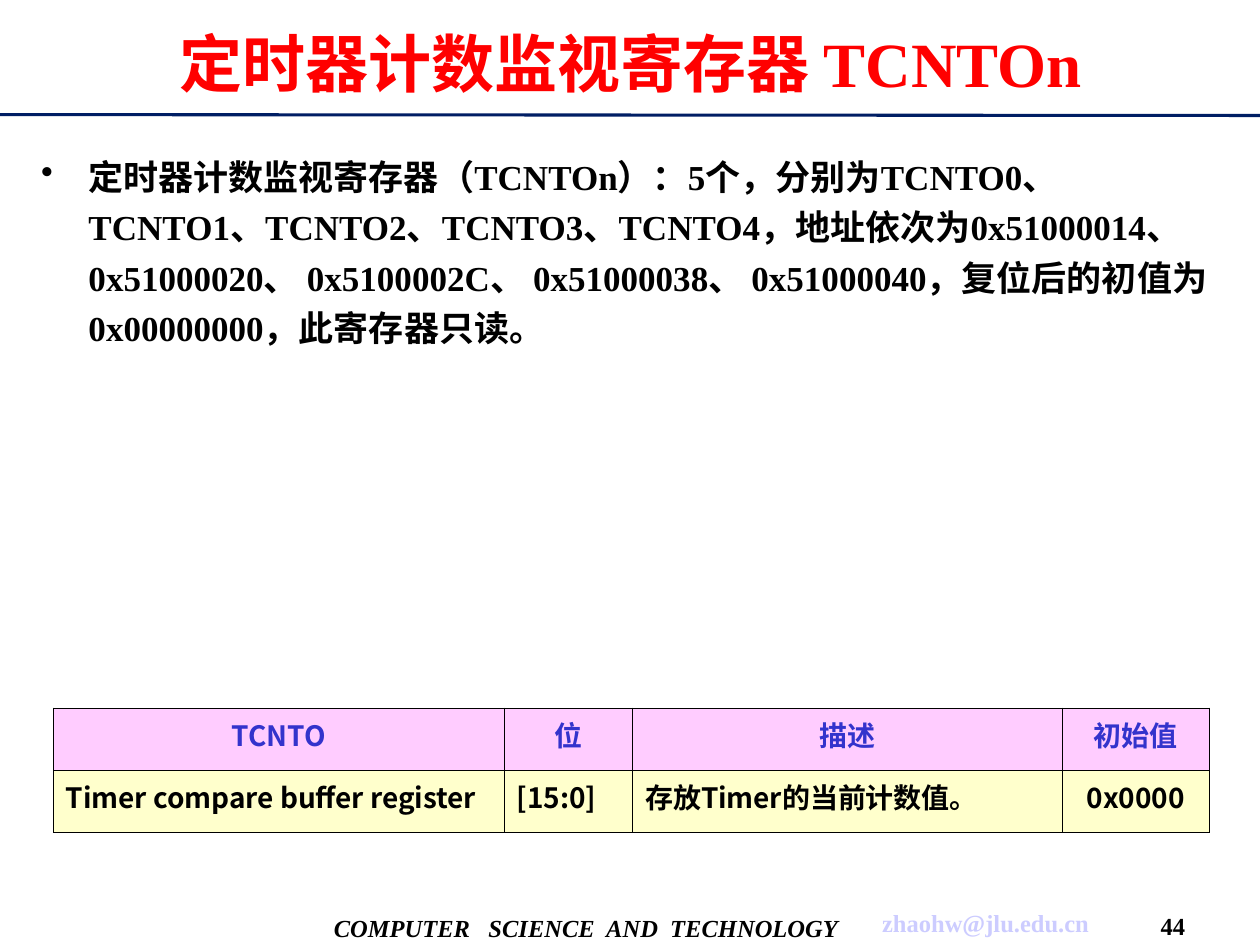
from dataclasses import dataclass

from lxml import etree
from pptx import Presentation
from pptx.dml.color import RGBColor
from pptx.enum.shapes import MSO_CONNECTOR as Conn
from pptx.enum.text import MSO_ANCHOR as Anchor, PP_ALIGN as Align
from pptx.oxml.ns import qn
from pptx.util import Pt

BLACK = RGBColor(0x00, 0x00, 0x00)
RED = RGBColor(0xFF, 0x00, 0x00)
NAVY = RGBColor(0x00, 0x1E, 0x64)
BLUE = RGBColor(0x33, 0x33, 0xCC)
LAVENDER = RGBColor(0xCC, 0xCC, 0xFF)
PINK = RGBColor(0xFF, 0xCC, 0xFF)
CREAM = RGBColor(0xFF, 0xFF, 0xCC)
SERIF = "Times New Roman"
SANS = "Noto Sans CJK SC"


@dataclass
class TextBox:
    text: str
    left: float
    top: float
    width: float
    height: float
    size: float
    color: RGBColor = BLACK
    italic: bool = False
    side_inset: float = 7.2
    align: Align = Align.CENTER
    anchor: Anchor = Anchor.MIDDLE


@dataclass
class TableRow:
    texts: list[str]
    aligns: list[Align]
    fill: RGBColor
    color: RGBColor


TITLE = TextBox("定时器计数监视寄存器 TCNTOn", 23, 6, 674.5, 59.5, 36, RED)
BODY = TextBox(
    "定时器计数监视寄存器（TCNTOn）：5个，分别为TCNTO0、TCNTO1、TCNTO2、TCNTO3、TCNTO4，"
    "地址依次为0x51000014、 0x51000020、 0x5100002C、 0x51000038、 0x51000040，"
    "复位后的初值为0x00000000，此寄存器只读。",
    16.5, 80.5, 684, 433.5, 20, align=Align.LEFT, anchor=Anchor.TOP)
FOOTERS = [
    TextBox("COMPUTER   SCIENCE  AND  TECHNOLOGY", 185, 515, 300, 30, 14, italic=True, side_inset=0),
    TextBox("zhaohw@jlu.edu.cn", 498, 514, 130.5, 26, 14, LAVENDER, side_inset=0),
    TextBox("44", 654.5, 518, 31.5, 22, 14, side_inset=0),
]
COLUMNS = [257.5, 73.5, 245.5, 84]
ROW_HEIGHT = 35.5
ROWS = [
    TableRow(["TCNTO", "位", "描述", "初始值"], [Align.CENTER] * 4, PINK, BLUE),
    TableRow(["Timer compare buffer register", "[15:0]", "存放Timer的当前计数值。", "0x0000"],
             [Align.LEFT] * 3 + [Align.CENTER], CREAM, BLACK),
]


def add_run(p, text: str, font: str, size: float, color: RGBColor, italic: bool = False) -> None:
    r = p.add_run()
    r.text = text
    for name, value in {"name": font, "size": Pt(size), "bold": True, "italic": italic}.items():
        setattr(r.font, name, value)
    r.font.color.rgb = color
    etree.SubElement(r.font._element, qn("a:ea"), typeface=SANS)


def add_text(s, box: TextBox):
    sp = s.shapes.add_textbox(Pt(box.left), Pt(box.top), Pt(box.width), Pt(box.height))
    tf = sp.text_frame
    layout = {"word_wrap": True, "vertical_anchor": box.anchor,
              "margin_left": Pt(box.side_inset), "margin_right": Pt(box.side_inset)}
    for name, value in layout.items():
        setattr(tf, name, value)
    p = tf.paragraphs[0]
    p.alignment = box.align
    add_run(p, box.text, SERIF, box.size, box.color, box.italic)
    return p


def add_bullet(p, indent: float) -> None:
    pPr = p._p.get_or_add_pPr()
    pPr.set("marL", str(Pt(indent)))
    pPr.set("indent", str(-Pt(indent)))
    etree.SubElement(pPr, qn("a:buChar"), char="•")


def add_rule(s, y1: float, y2: float) -> None:
    line = s.shapes.add_connector(Conn.STRAIGHT, Pt(0), Pt(y1), Pt(720), Pt(y2))
    line.line.color.rgb = NAVY
    line.line.width = Pt(1.75)
    etree.SubElement(line._element.spPr, qn("a:effectLst"))


def add_borders(cell, width: float) -> None:
    tcPr = cell._tc.get_or_add_tcPr()
    for i, side in enumerate(("lnL", "lnR", "lnT", "lnB")):
        ln = etree.Element(qn(f"a:{side}"), w=str(Pt(width)))
        fill = etree.SubElement(ln, qn("a:solidFill"))
        etree.SubElement(fill, qn("a:srgbClr"), val=str(BLACK))
        tcPr.insert(i, ln)


def add_register_table(s, left: float, top: float) -> None:
    table = s.shapes.add_table(len(ROWS), len(COLUMNS), Pt(left), Pt(top),
                               Pt(sum(COLUMNS)), Pt(ROW_HEIGHT * len(ROWS))).table
    for column, width in zip(table.columns, COLUMNS):
        column.width = Pt(width)
    for i, row in enumerate(ROWS):
        table.rows[i].height = Pt(ROW_HEIGHT)
        for j, (text, align) in enumerate(zip(row.texts, row.aligns)):
            cell = table.cell(i, j)
            cell.fill.solid()
            cell.fill.fore_color.rgb = row.fill
            add_borders(cell, 0.45)
            p = cell.text_frame.paragraphs[0]
            p.alignment = align
            add_run(p, text, SANS, 16, row.color)


def main() -> None:
    prs = Presentation()
    prs.slide_width, prs.slide_height = Pt(720), Pt(540)
    s = prs.slides.add_slide(prs.slide_layouts[6])

    # Rule and footer
    add_rule(s, 65.5, 66)
    for footer in FOOTERS:
        add_text(s, footer)

    # Title and description
    add_text(s, TITLE)
    p = add_text(s, BODY)
    add_bullet(p, 27)
    p.line_spacing = Pt(28.8)

    # Register table
    add_register_table(s, 30.5, 404.5)

    prs.save("out.pptx")


if __name__ == "__main__":
    main()
